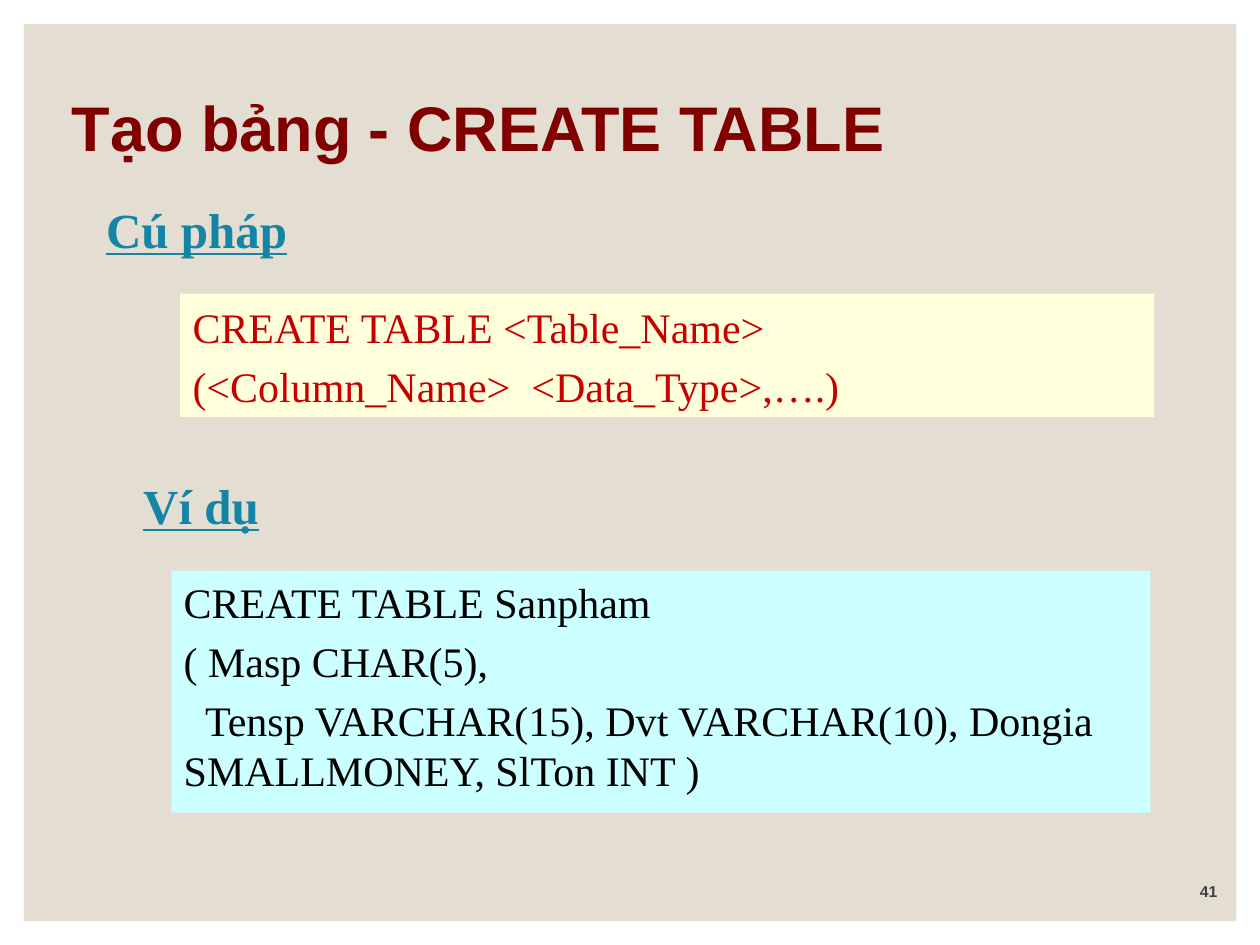
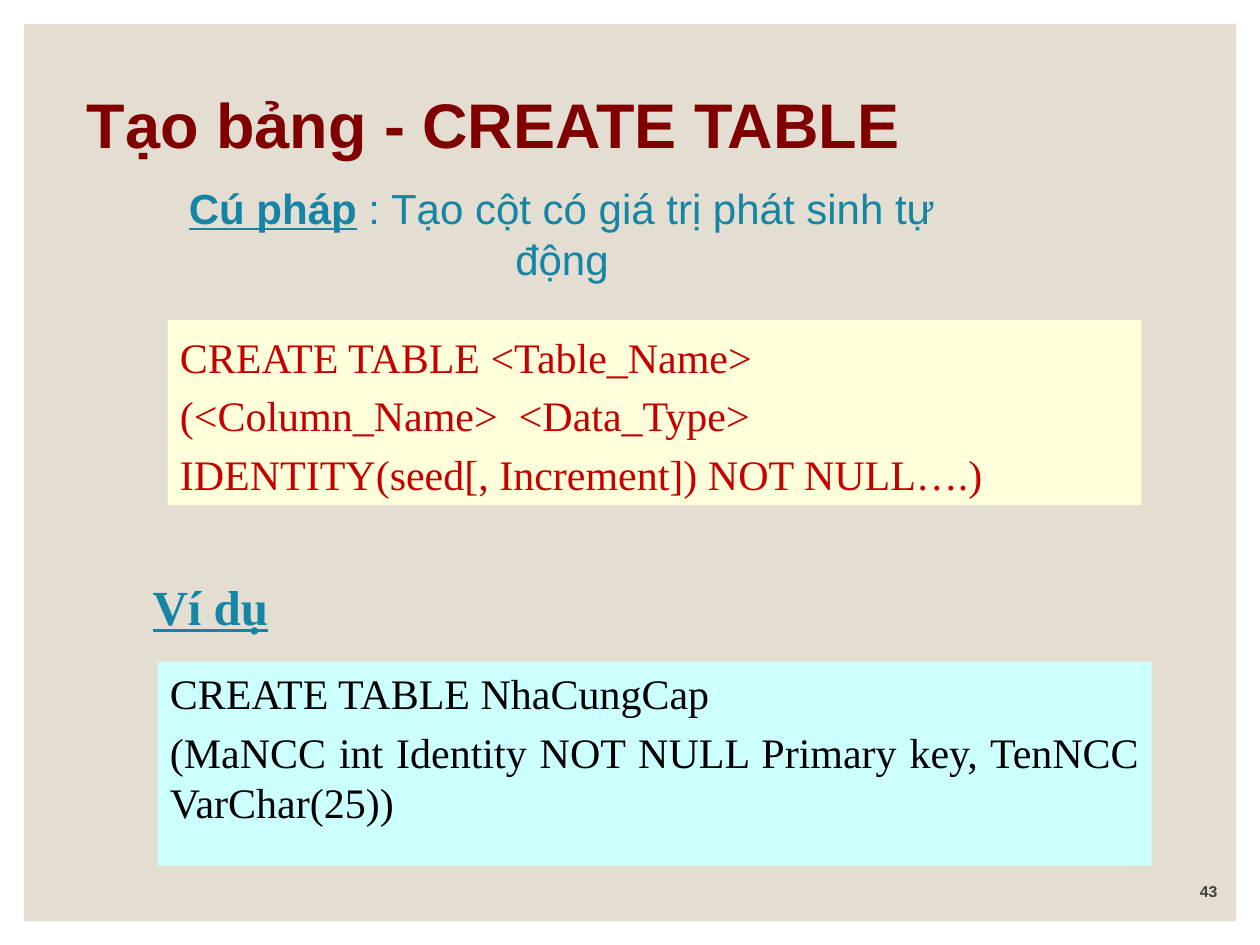
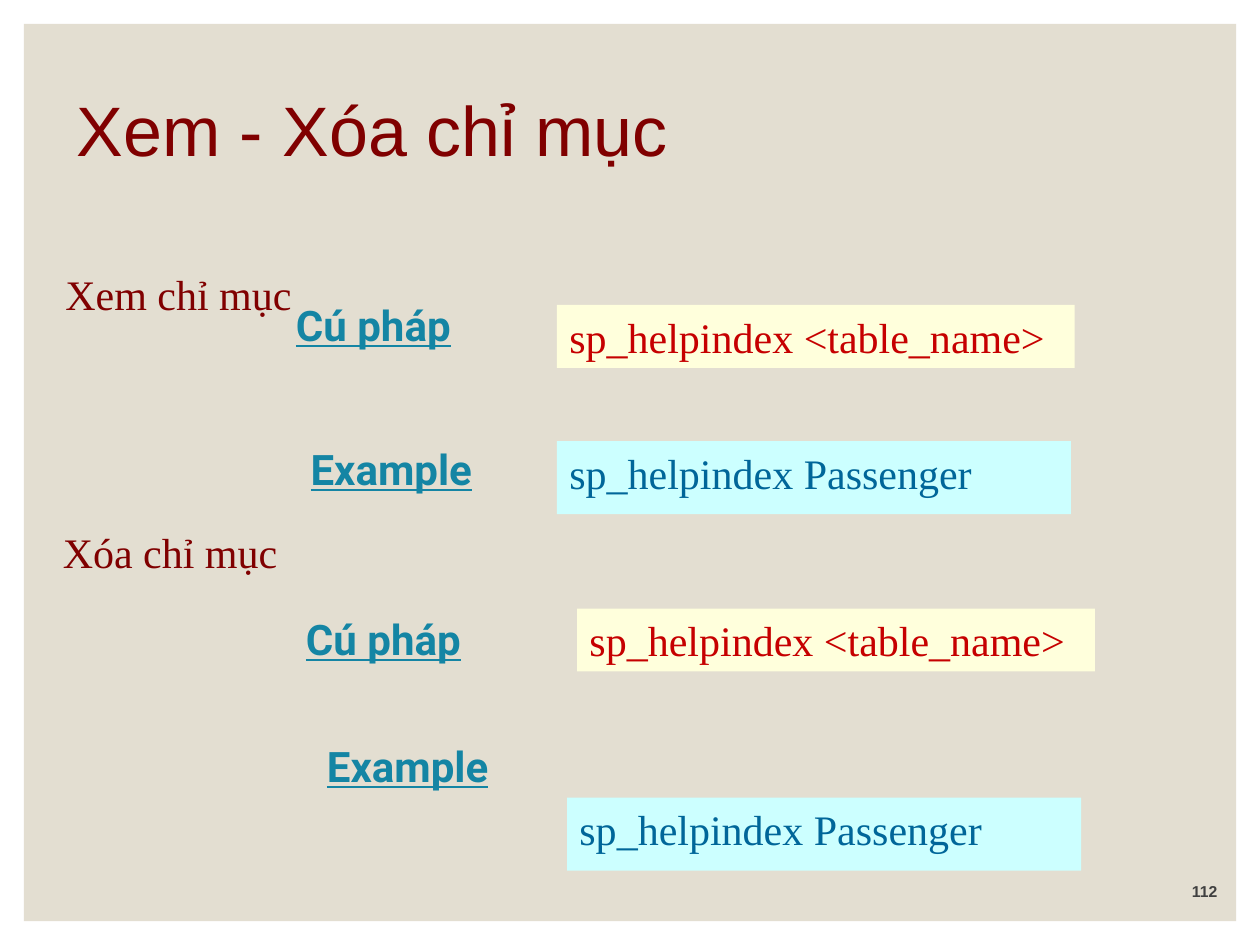
import lxml.etree
import pptx
import pptx.dml.color
import pptx.enum.shapes
import pptx.enum.text
import pptx.oxml.ns
import pptx.util

Inches = pptx.util.Inches
RGBColor = pptx.dml.color.RGBColor
Align = pptx.enum.text.PP_ALIGN
Anchor = pptx.enum.text.MSO_ANCHOR

SAND = RGBColor(0xE3, 0xDE, 0xD1)
CREAM = RGBColor(0xFF, 0xFF, 0xDC)
AQUA = RGBColor(0xCC, 0xFF, 0xFF)
MAROON = RGBColor(0x80, 0x00, 0x00)
RED = RGBColor(0xC6, 0x00, 0x00)
TEAL = RGBColor(0x14, 0x85, 0xA4)
BLUE = RGBColor(0x00, 0x66, 0x99)
BLACK = RGBColor(0x00, 0x00, 0x00)
GRAY = RGBColor(0x40, 0x40, 0x40)

SANS = "Arial"
SERIF = "Times New Roman"
LABEL_FONT = "Roboto"


def set_space_before(paragraph, percent):
    """Set the space before a paragraph as a percentage of its line."""
    paragraph.space_before = pptx.util.Pt(0)
    spacing = paragraph._p.pPr.find(pptx.oxml.ns.qn("a:spcBef"))
    spacing.clear()
    lxml.etree.SubElement(
        spacing, pptx.oxml.ns.qn("a:spcPct"), val=str(percent * 1000))


def add_run(paragraph, text, size, font, color, bold=False, underline=False):
    """Add one formatted run to a paragraph."""
    run = paragraph.add_run()
    run.text = text
    run.font.size = pptx.util.Pt(size)
    run.font.name = font
    run.font.color.rgb = color
    run.font.bold = bold
    run.font.underline = underline


def write_text(shape, *lines, align=Align.LEFT, anchor=Anchor.TOP, wrap=True,
               space_before=0, **run_format):
    """Write one paragraph for each line, all in the same format."""
    frame = shape.text_frame
    frame.word_wrap = wrap
    frame.auto_size = pptx.enum.text.MSO_AUTO_SIZE.NONE
    frame.vertical_anchor = anchor
    for number, line in enumerate(lines):
        paragraph = frame.add_paragraph() if number else frame.paragraphs[0]
        paragraph.alignment = align
        if space_before:
            set_space_before(paragraph, space_before)
        add_run(paragraph, line, **run_format)
    return frame


def add_text(slide, box, *lines, **text_format):
    """Add a text box at (left, top, width, height) inches."""
    shape = slide.shapes.add_textbox(*map(Inches, box))
    return write_text(shape, *lines, **text_format)


def add_rectangle(slide, box, color):
    """Add a plain filled rectangle without outline or shadow."""
    shape = slide.shapes.add_shape(
        pptx.enum.shapes.MSO_SHAPE.RECTANGLE, *map(Inches, box))
    shape.shadow.inherit = False
    shape.fill.solid()
    shape.fill.fore_color.rgb = color
    shape.line.fill.background()
    return shape


def add_syntax(slide, box, *lines, **text_format):
    """Add a cream box with the general form of a statement."""
    settings = dict(size=24, font=SERIF, color=RED, space_before=20,
                    anchor=Anchor.BOTTOM)
    return write_text(add_rectangle(slide, box, CREAM), *lines,
                      **{**settings, **text_format})


def add_example(slide, box, *lines, color=BLACK):
    """Add an aqua box with a worked statement."""
    return write_text(add_rectangle(slide, box, AQUA), *lines, size=24,
                      font=SERIF, color=color, space_before=20,
                      align=Align.JUSTIFY)


def add_label(slide, box, text, **text_format):
    """Add a teal underlined label."""
    settings = dict(size=28, font=SERIF, color=TEAL, bold=True, underline=True,
                    align=Align.CENTER, anchor=Anchor.BOTTOM, wrap=False,
                    space_before=20)
    return add_text(slide, box, text, **{**settings, **text_format})


def add_master_band(presentation):
    """Put the sand panel behind everything on the slide master."""
    slide = presentation.slides[0]
    band = add_rectangle(slide, (0.19, 0.19, 9.62, 7.12), SAND)
    presentation.slide_master.shapes.element.insert(2, band.element)


def start_slide(presentation, title, title_box, page, **title_format):
    """Add a slide with its title and page number."""
    slide = presentation.slides.add_slide(presentation.slide_layouts[5])
    heading = slide.shapes.title
    heading.left, heading.top, heading.width, heading.height = map(
        Inches, title_box)
    settings = dict(size=36, font=SANS, color=MAROON, bold=True,
                    anchor=Anchor.BOTTOM)
    write_text(heading, title, **{**settings, **title_format})
    add_text(slide, (8.56, 6.9, 1.2, 0.3), page, size=9, font=SANS, color=GRAY,
             bold=True, align=Align.RIGHT, anchor=Anchor.BOTTOM)
    return slide


def build_create_table(presentation):
    """Build the slide on the basic CREATE TABLE statement."""
    slide = start_slide(presentation, "Tạo bảng - CREATE TABLE",
                        (0.47, 0.58, 8.52, 0.77), "41")
    example = add_example(
        slide, (1.36, 4.53, 7.77, 1.92), "CREATE TABLE Sanpham",
        "( Masp CHAR(5),",
        "Tensp VARCHAR(15), Dvt VARCHAR(10), Dongia SMALLMONEY, SlTon INT )")
    columns = example.paragraphs[2]
    columns.alignment = Align.LEFT
    columns._p.pPr.set("indent", str(Inches(0.17)))
    add_label(slide, (0.74, 1.53, 1.64, 0.57), "Cú pháp")
    add_syntax(slide, (1.43, 2.33, 7.73, 0.98), "CREATE TABLE <Table_Name>",
               "(<Column_Name>  <Data_Type>,….)")
    add_label(slide, (1.02, 3.72, 1.15, 0.57), "Ví dụ")


def build_identity(presentation):
    """Build the slide on columns with generated values."""
    slide = start_slide(presentation, "Tạo bảng - CREATE TABLE",
                        (0.59, 0.58, 8.52, 0.75), "43")
    add_label(slide, (1.1, 4.52, 1.14, 0.57), "Ví dụ")
    add_example(slide, (1.25, 5.25, 7.89, 1.62), "CREATE TABLE NhaCungCap",
                "(MaNCC int Identity NOT NULL Primary key, TenNCC VarChar(25))")
    caption = add_label(slide, (1, 1.8, 6.92, 0.5), "Cú pháp", size=24,
                        font=SANS, wrap=True)
    add_run(caption.paragraphs[0], " : Tạo cột có giá trị phát sinh tự động",
            size=24, font=SANS, color=TEAL)
    add_syntax(slide, (1.33, 2.54, 7.73, 1.47), "CREATE TABLE <Table_Name>",
               "(<Column_Name>  <Data_Type>",
               "IDENTITY(seed[, Increment]) NOT NULL….)")


def add_index_section(slide, heading, heading_box, syntax_label, syntax,
                      example_label, example):
    """Add a heading with its syntax and example, each at (left, top)."""
    add_text(slide, heading_box, heading, size=24, font=SERIF, color=MAROON,
             wrap=False)
    add_label(slide, (*syntax_label, 2.75, 0.5), "Cú pháp", size=24,
              font=LABEL_FONT, align=Align.LEFT, wrap=True, space_before=50)
    add_syntax(slide, (*syntax, 4.11, 0.5), "sp_helpindex <table_name>",
               align=Align.JUSTIFY, anchor=Anchor.TOP, space_before=50)
    add_label(slide, (*example_label, 1.63, 0.5), "Example", size=24,
              font=LABEL_FONT)
    add_example(slide, (*example, 4.08, 0.58), "sp_helpindex Passenger",
                color=BLUE)


def build_index(presentation):
    """Build the slide on viewing and dropping an index."""
    slide = start_slide(presentation, "Xem - Xóa chỉ mục",
                        (0.51, 0.64, 8.52, 0.84), "112", size=40, bold=False,
                        anchor=Anchor.MIDDLE)
    slide.shapes.title.text_frame.paragraphs[0].line_spacing = 0.9
    add_index_section(slide, "Xem chỉ mục", (0.42, 2.08, 1.99, 0.5),
                      (2.25, 2.33), (4.42, 2.42), (2.29, 3.47), (4.42, 3.5))
    add_index_section(slide, "Xóa chỉ mục", (0.4, 4.13, 1.9, 0.5),
                      (2.33, 4.82), (4.58, 4.83), (2.42, 5.83), (4.5, 6.33))


def main():
    """Build and save the presentation."""
    presentation = pptx.Presentation()
    presentation.slide_width = Inches(10)
    presentation.slide_height = Inches(7.5)
    build_create_table(presentation)
    build_identity(presentation)
    build_index(presentation)
    add_master_band(presentation)
    presentation.save("out.pptx")


if __name__ == "__main__":
    main()
